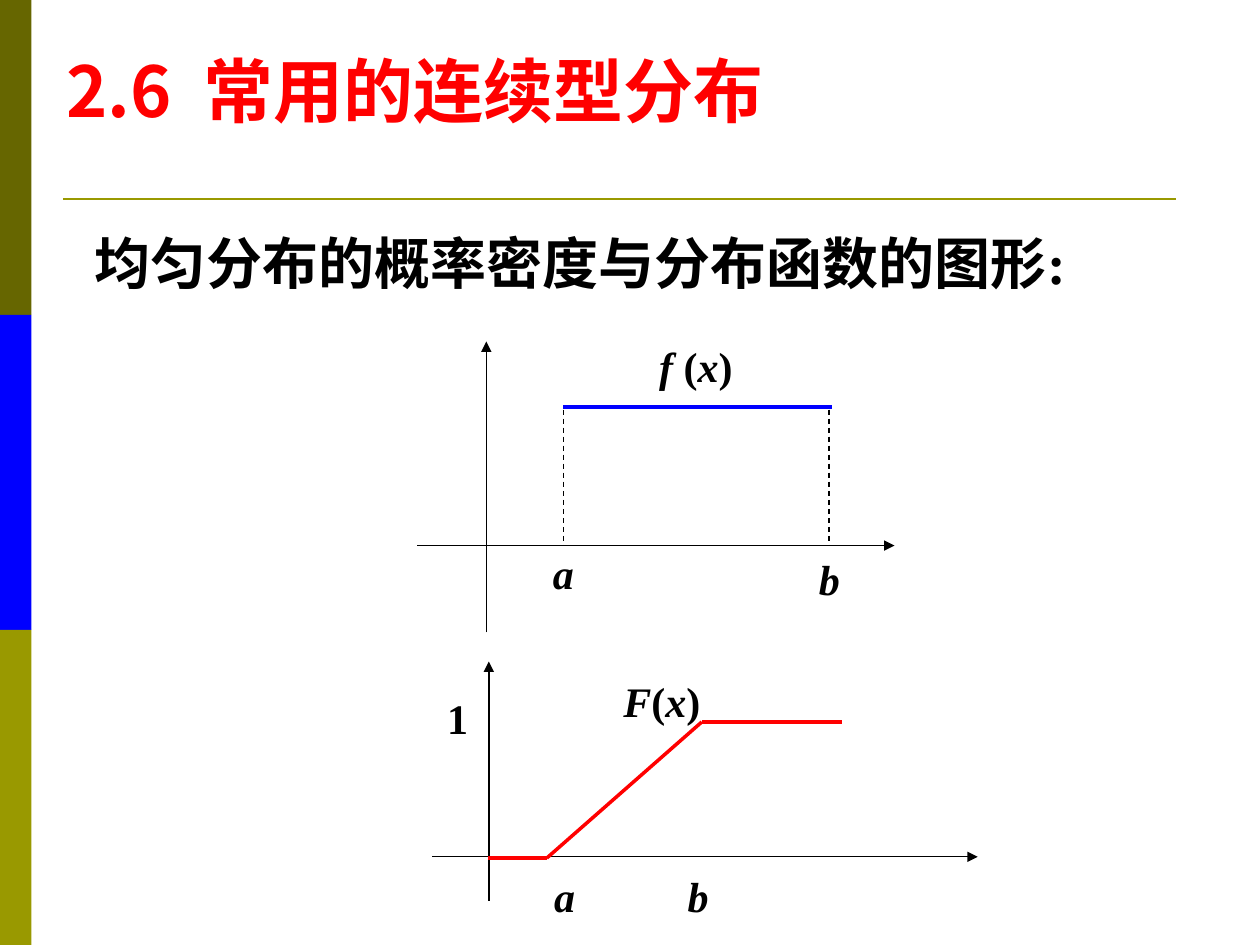
from lxml import etree
from pptx import Presentation
from pptx import util as u
from pptx.dml.color import RGBColor
from pptx.enum import dml, shapes, text
from pptx.oxml.ns import qn

PX = 9144  # 100 px to the inch
BLACK, RED, BLUE = "000000", "FF0000", "0000FF"
OLIVE, DARK_OLIVE = "999900", "666600"
LATIN, CJK = "Times New Roman", "Noto Sans CJK JP"


def px(*lengths):
    return [u.Emu(length * PX) for length in lengths]


def colour(value):
    return RGBColor.from_string(value)


def write(box, *runs, size=24, font=LATIN, ink=BLACK, plain=""):
    """Fill a box with bold runs; runs are italic unless listed in plain."""
    frame = box.text_frame
    frame.word_wrap = False
    frame.auto_size = text.MSO_AUTO_SIZE.SHAPE_TO_FIT_TEXT
    frame.vertical_anchor = text.MSO_ANCHOR.TOP
    para = frame.paragraphs[0]
    para.alignment = text.PP_ALIGN.LEFT
    para.space_before = u.Pt(0)
    for words in runs:
        span = para.add_run()
        span.text = words
        span.font.size = u.Pt(size)
        span.font.name = font
        span.font.bold = True
        span.font.italic = words not in plain
        span.font.color.rgb = colour(ink)
        east_asian = etree.SubElement(span._r.get_or_add_rPr(), qn("a:ea"))
        east_asian.set("typeface", CJK)
    return para


def place(box, left, top, width, height):
    box.left, box.top, box.width, box.height = px(left, top, width, height)


def line(page, x1, y1, x2, y2, ink=BLACK, weight=0.75, dashed=False, arrow=False):
    stroke = page.shapes.add_connector(
        shapes.MSO_CONNECTOR.STRAIGHT, *px(x1, y1, x2, y2))
    stroke.line.color.rgb = colour(ink)
    stroke.line.width = u.Pt(weight)
    if dashed:
        stroke.line.dash_style = dml.MSO_LINE.DASH
    if arrow:
        tail = etree.SubElement(stroke.line._get_or_add_ln(), qn("a:tailEnd"))
        tail.set("type", "triangle")
    etree.SubElement(stroke._element.spPr, qn("a:effectLst"))


def label(page, left, top, width, *runs, plain="()1"):
    box = page.shapes.add_textbox(*px(left, top, width, 50))
    write(box, *runs, plain=plain)


def side_band(page, left, top, width, height):
    inks = (DARK_OLIVE, BLUE, OLIVE)
    part = height // len(inks)
    for index, ink in enumerate(inks):
        block = page.shapes.add_shape(
            shapes.MSO_SHAPE.RECTANGLE, *px(left, top + index * part, width, part))
        block.shadow.inherit = False
        block.fill.solid()
        block.fill.fore_color.rgb = colour(ink)
        block.line.fill.background()


def heading(page, left, top, width, height):
    title = page.shapes.title
    place(title, left, top, width, height)
    words = "2.6  常用的连续型分布"
    write(title, words, size=40, font=CJK, ink=RED, plain=words)
    line(page, left + 7, top + 125, left + 890, top + 125, OLIVE, 1.5)


def statement(page, left, top, width, height):
    body = page.placeholders[1]
    place(body, left, top, width, height)
    words = "均匀分布的概率密度与分布函数的图形:"
    para = write(body, words, size=32, plain=words)
    settings = para._p.get_or_add_pPr()
    settings.set("marL", "0")
    settings.set("indent", "0")
    etree.SubElement(settings, qn("a:buNone"))


def density_graph(page, left, top, width, height):
    axis, origin = top + 162, left + 55
    start, end, level = left + 116, left + 327, top + 52
    line(page, left, axis, left + width, axis, arrow=True)
    line(page, origin, top + height, origin, top, arrow=True)
    line(page, start, level, end + 2, level, BLUE, 2)
    for name, x, drop in (("a", start, 0), ("b", end, 4)):
        line(page, x, level + 2, x, axis, dashed=True)
        label(page, x - 18, axis - 3 + drop, 45, name)
    label(page, left + 174, top - 6, 96, " f ", "(", "x", ")")


def distribution_graph(page, left, top, width, height):
    axis, origin = top + 155, left + 45
    start, end, level = left + 91, left + 214, top + 48
    line(page, left, axis, left + width, axis, arrow=True)
    line(page, origin, top + height, origin, top, arrow=True)
    curve = [(origin - 1, axis + 1), (start, axis + 1), (end, level), (end + 111, level)]
    for begin, finish in zip(curve, curve[1:]):
        line(page, *begin, *finish, RED, 2)
    label(page, left + 142, top + 6, 90, "F", "(", "x", ")")
    label(page, left + 2, top + 20, 45, "1")
    for name, x in (("a", left + 87), ("b", left + 193)):
        label(page, x, axis + 6, 37, name)


def main():
    deck = Presentation()
    deck.slide_width, deck.slide_height = px(1000, 750)
    page = deck.slides.add_slide(deck.slide_layouts[1])
    side_band(page, 0, 0, 25, 750)
    heading(page, 43, 33, 590, 77)
    statement(page, 65, 176, 831, 64)
    density_graph(page, 331, 271, 379, 231)
    distribution_graph(page, 343, 525, 433, 190)
    deck.save("out.pptx")


if __name__ == "__main__":
    main()
